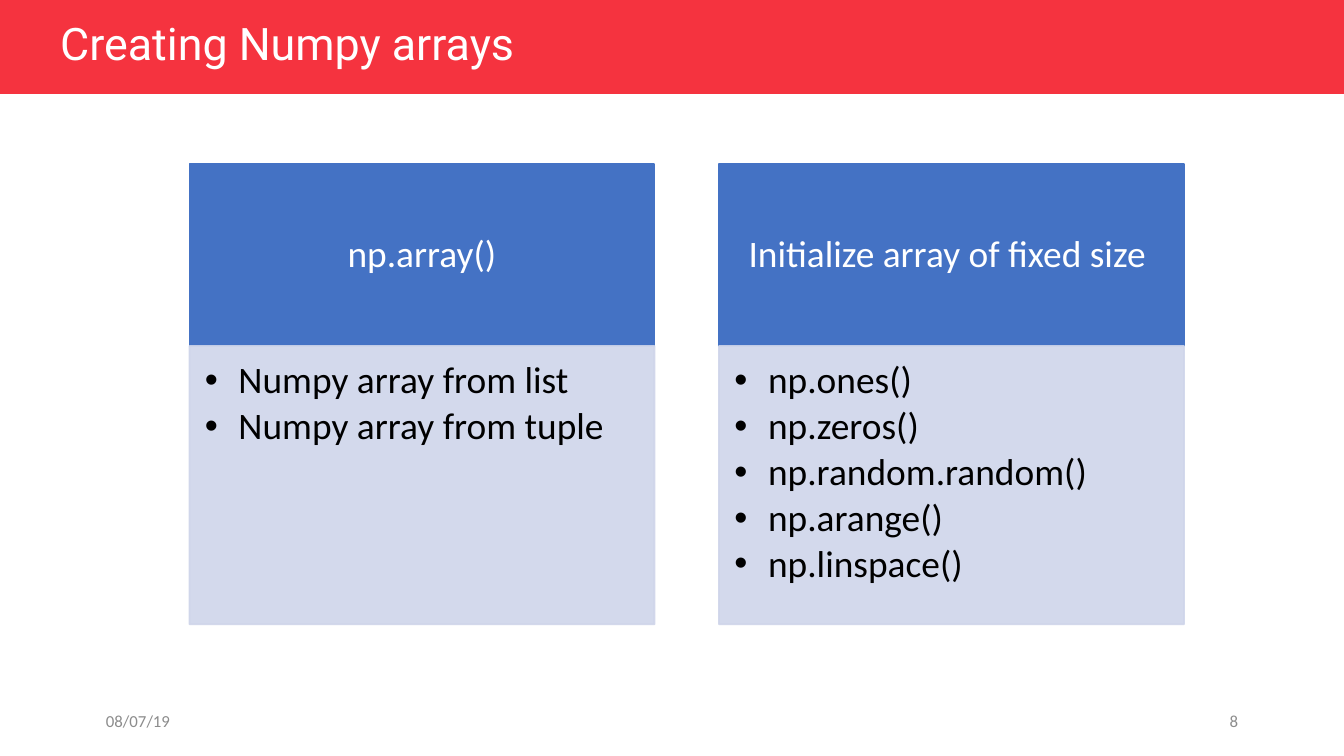
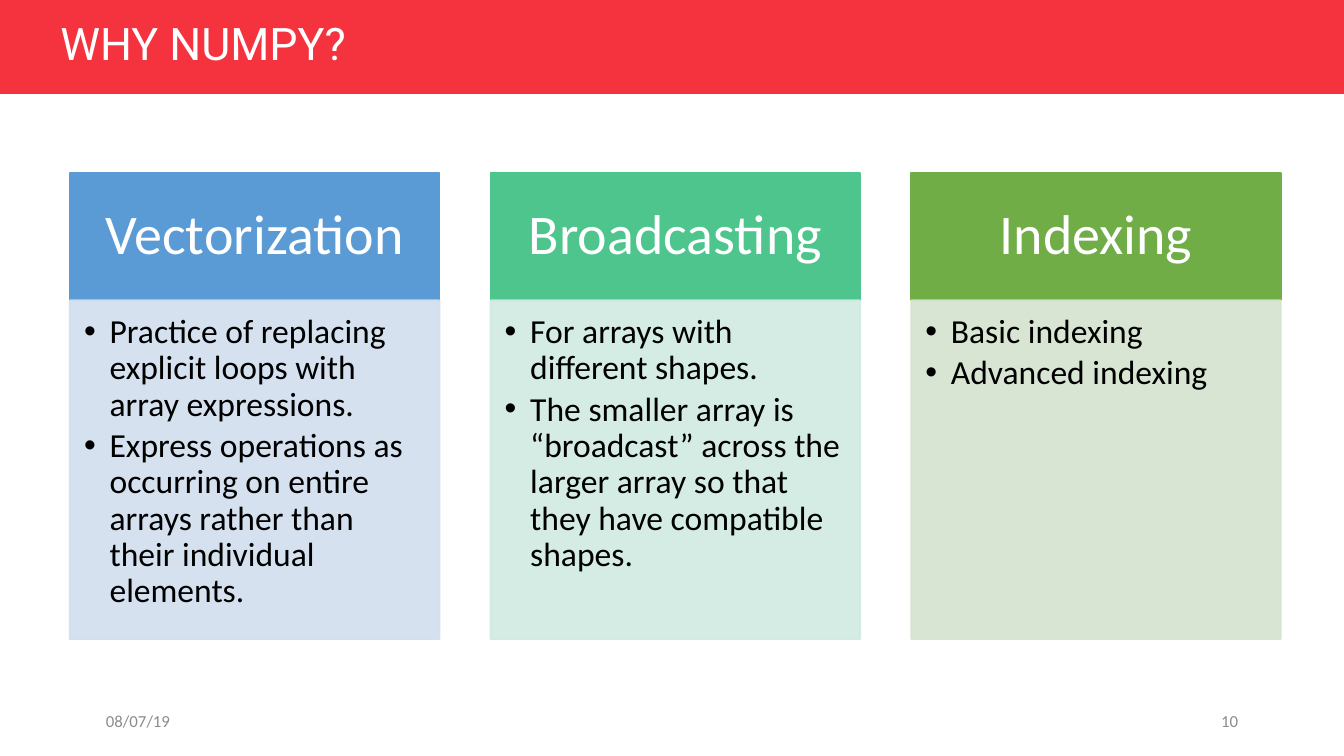
"""Build two Numpy slides with a red title band, bulleted cards and a footer."""
from dataclasses import dataclass

from lxml.etree import SubElement
from pptx import Presentation
from pptx.dml.color import RGBColor
from pptx.enum.shapes import MSO_SHAPE
from pptx.enum.text import MSO_ANCHOR, PP_ALIGN
from pptx.oxml.ns import qn
from pptx.util import Pt

PX = 4572
SLIDE_WIDTH, SLIDE_HEIGHT = 2000, 1125
BAND_HEIGHT = 140
FOOTER_TOP, FOOTER_WIDTH, FOOTER_HEIGHT = 1042, 450, 60
DATE_LEFT, NUMBER_LEFT = 138, 1412
DATE = "08/07/19"

RED = RGBColor(0xF5, 0x33, 0x3F)
WHITE = RGBColor(0xFF, 0xFF, 0xFF)
BLACK = RGBColor(0x00, 0x00, 0x00)
GREY = RGBColor(0x8C, 0x8C, 0x8C)
ROYAL = RGBColor(0x44, 0x72, 0xC4)
PALE_ROYAL = RGBColor(0xCF, 0xD5, 0xEA)
BLUE = RGBColor(0x5B, 0x9B, 0xD5)
PALE_BLUE = RGBColor(0xD2, 0xDE, 0xEF)
MINT = RGBColor(0x4D, 0xC5, 0x8D)
PALE_MINT = RGBColor(0xD0, 0xEA, 0xE1)
GREEN = RGBColor(0x70, 0xAD, 0x47)
PALE_GREEN = RGBColor(0xD5, 0xE3, 0xCF)


@dataclass(frozen=True)
class Box:
    left: int
    top: int
    width: int
    height: int

    def emu(self) -> tuple:
        """Return the box as EMU lengths."""
        return tuple(n * PX for n in (self.left, self.top, self.width, self.height))


@dataclass(frozen=True)
class TextStyle:
    size: int
    color: RGBColor
    font: str = "Calibri"
    align: PP_ALIGN = PP_ALIGN.LEFT
    anchor: MSO_ANCHOR = MSO_ANCHOR.MIDDLE
    line_spacing: float = 1.0
    insets: tuple = (20, 10, 20, 10)
    bullet_indent: int = 0


@dataclass(frozen=True)
class Card:
    heading: str
    bullets: tuple
    color: RGBColor
    pale: RGBColor


@dataclass(frozen=True)
class CardGrid:
    left: int
    top: int
    pitch: int
    width: int
    heading_height: int
    body_height: int
    heading_style: TextStyle
    body_style: TextStyle


@dataclass(frozen=True)
class Page:
    title: str
    number: int
    title_width: int
    grid: CardGrid
    cards: tuple


def heading_style(size: int, side: int, end: int) -> TextStyle:
    """Return the centred white style of a card heading."""
    return TextStyle(size, WHITE, align=PP_ALIGN.CENTER, line_spacing=0.9,
                     insets=(side, end, side, end))


def body_style(size: int, insets: tuple, indent: int) -> TextStyle:
    """Return the bulleted black style of a card body."""
    return TextStyle(size, BLACK, anchor=MSO_ANCHOR.TOP, line_spacing=0.9,
                     insets=insets, bullet_indent=indent)


TITLE_STYLE = TextStyle(24, WHITE, "Roboto", line_spacing=0.9)
DATE_STYLE = TextStyle(9, GREY)
NUMBER_STYLE = TextStyle(9, GREY, align=PP_ALIGN.RIGHT)

PAGES = (
    Page(
        "Creating Numpy arrays", 8, 1174,
        CardGrid(282, 244, 788, 692, 271, 414,
                 heading_style(20, 31, 18), body_style(20, (23, 23, 31, 35), 50)),
        (
            Card("np.array()", ("Numpy array from list", "Numpy array from tuple"),
                 ROYAL, PALE_ROYAL),
            Card("Initialize array of fixed size ",
                 ("np.ones()", "np.zeros()", "np.random.random()", "np.arange()",
                  "np.linspace()"),
                 ROYAL, PALE_ROYAL),
        ),
    ),
    Page(
        "WHY NUMPY?", 10, 818,
        CardGrid(104, 258, 626, 550, 189, 504,
                 heading_style(30, 47, 27), body_style(18, (21, 21, 28, 32), 38)),
        (
            Card("Vectorization",
                 ("Practice of replacing explicit loops with array expressions.",
                  "Express operations as occurring on entire arrays rather than "
                  "their individual elements."),
                 BLUE, PALE_BLUE),
            Card("Broadcasting",
                 ("For arrays with different shapes.",
                  "The smaller array is “broadcast” across the larger array so that "
                  "they have compatible shapes."),
                 MINT, PALE_MINT),
            Card("Indexing", ("Basic indexing", "Advanced indexing"),
                 GREEN, PALE_GREEN),
        ),
    ),
)


def add_bullet(paragraph, style: TextStyle) -> None:
    """Give a paragraph a hanging bullet and the gap that follows it."""
    paragraph.space_after = Pt(style.size * 0.15)
    properties = paragraph._p.get_or_add_pPr()
    indent = style.bullet_indent * PX
    properties.set("marL", str(indent))
    properties.set("indent", str(-indent))
    SubElement(properties, qn("a:buFont")).set("typeface", "Arial")
    SubElement(properties, qn("a:buChar")).set("char", "•")


def write(shape, text: str, style: TextStyle) -> None:
    """Put styled text into a shape, one paragraph a line."""
    frame = shape.text_frame
    frame.text = text
    frame.word_wrap = True
    frame.vertical_anchor = style.anchor
    (frame.margin_left, frame.margin_top,
     frame.margin_right, frame.margin_bottom) = (n * PX for n in style.insets)
    for paragraph in frame.paragraphs:
        paragraph.alignment = style.align
        paragraph.line_spacing = style.line_spacing
        if style.bullet_indent:
            add_bullet(paragraph, style)
        for run in paragraph.runs:
            run.font.size = Pt(style.size)
            run.font.name = style.font
            run.font.color.rgb = style.color


def add_label(slide, box: Box, text: str, style: TextStyle) -> None:
    """Add a text box."""
    write(slide.shapes.add_textbox(*box.emu()), text, style)


def add_panel(slide, box: Box, color: RGBColor, outlined: bool = True,
              opacity: int = 100):
    """Add a flat rectangle and return it."""
    panel = slide.shapes.add_shape(MSO_SHAPE.RECTANGLE, *box.emu())
    panel.shadow.inherit = False
    panel.fill.solid()
    panel.fill.fore_color.rgb = color
    if outlined:
        panel.line.color.rgb = color
        panel.line.width = Pt(1)
    else:
        panel.line.fill.background()
    if opacity < 100:
        for tint in panel._element.spPr.iter(qn("a:srgbClr")):
            SubElement(tint, qn("a:alpha")).set("val", str(opacity * 1000))
    return panel


def add_card(slide, card: Card, grid: CardGrid, column: int) -> None:
    """Add a heading panel with its bulleted body below."""
    left = grid.left + column * grid.pitch
    body_top = grid.top + grid.heading_height
    heading = add_panel(slide, Box(left, grid.top, grid.width, grid.heading_height),
                        card.color)
    write(heading, card.heading, grid.heading_style)
    body = add_panel(slide, Box(left, body_top, grid.width, grid.body_height),
                     card.pale, opacity=90)
    write(body, "\n".join(card.bullets), grid.body_style)


def add_page(deck, page: Page) -> None:
    """Add a slide with band, footer, title and cards."""
    slide = deck.slides.add_slide(deck.slide_layouts[6])
    add_panel(slide, Box(0, 0, SLIDE_WIDTH, BAND_HEIGHT), RED, outlined=False)
    for left, text, style in ((DATE_LEFT, DATE, DATE_STYLE),
                              (NUMBER_LEFT, str(page.number), NUMBER_STYLE)):
        add_label(slide, Box(left, FOOTER_TOP, FOOTER_WIDTH, FOOTER_HEIGHT), text, style)
    add_label(slide, Box(70, 26, page.title_width, 84), page.title, TITLE_STYLE)
    for column, card in enumerate(page.cards):
        add_card(slide, card, page.grid, column)


def main() -> None:
    """Build and save the deck."""
    deck = Presentation()
    deck.slide_width, deck.slide_height = SLIDE_WIDTH * PX, SLIDE_HEIGHT * PX
    for page in PAGES:
        add_page(deck, page)
    deck.save("out.pptx")


if __name__ == "__main__":
    main()
